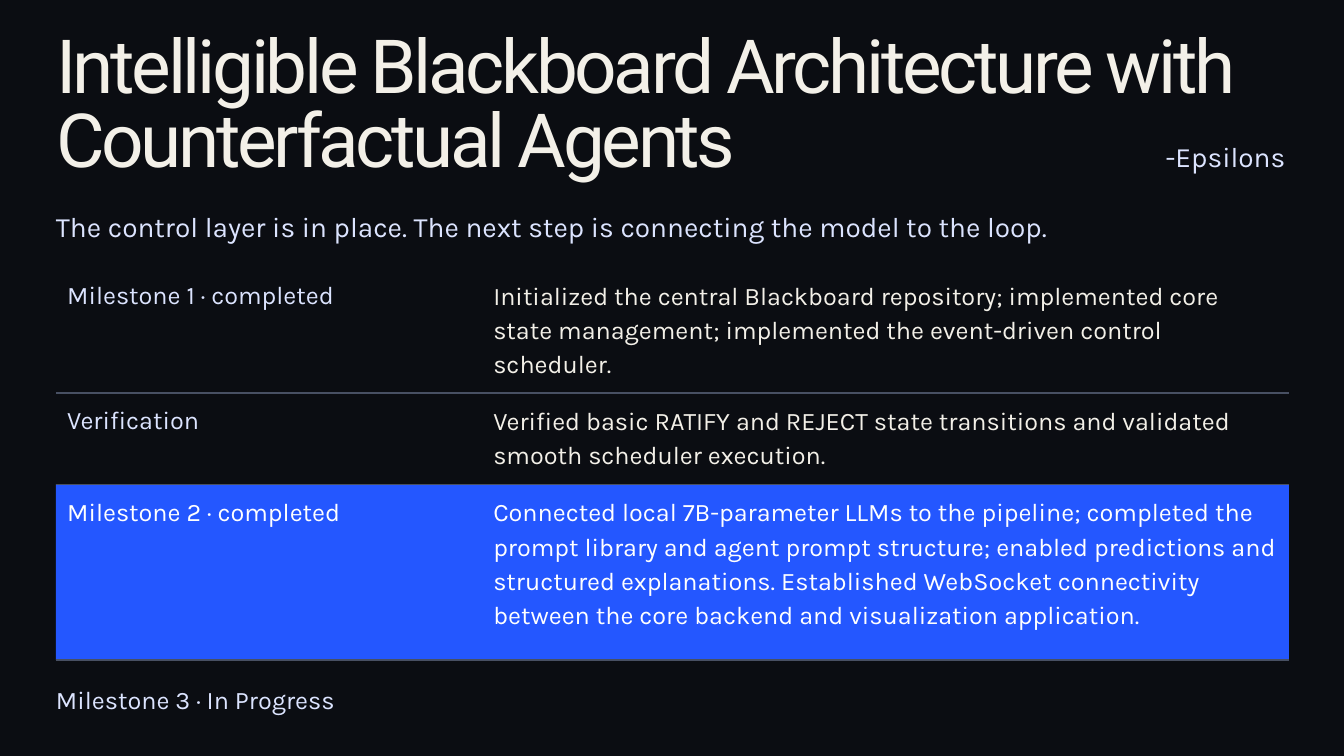
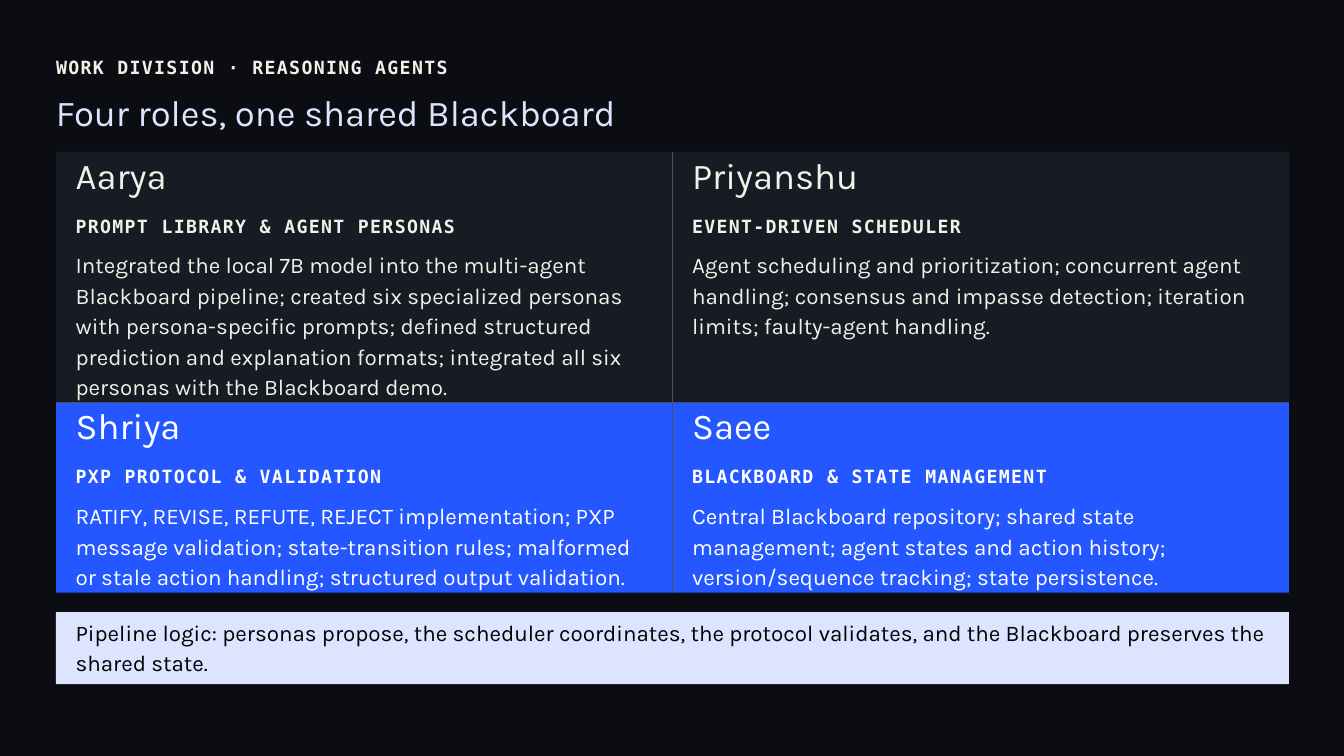
import collections

import pptx
import pptx.dml.color
import pptx.enum.shapes
import pptx.enum.text
import pptx.oxml.ns
import pptx.util
from lxml import etree

Pt = pptx.util.Pt

COLORS = {
    "night": "0B0D12",
    "panel": "171B24",
    "blue": "2457FF",
    "rule": "485063",
    "cream": "F3F0E8",
    "ice": "DCE4FF",
    "white": "FFFFFF",
    "black": "000000",
}

TextStyle = collections.namedtuple("TextStyle", "font size leading bold tracking")
STYLES = {
    "title": TextStyle("Roboto", 80, 79.7, False, -3.6),
    "heading": TextStyle("Karla", 39, 50.6, False, 0),
    "lead": TextStyle("Karla", 30, 38.9, False, 0),
    "label": TextStyle("Karla", 27, 35, False, 0),
    "detail": TextStyle("Karla", 27, 36.6, False, 0),
    "body": TextStyle("Karla", 24, 32.6, False, 0),
    "caps": TextStyle("DejaVu Sans Mono", 19.5, 25.3, True, 1.4),
}

LEFT = 60
WIDTH = 1321
RIGHT = LEFT + WIDTH

MILESTONES = [
    ("Milestone 1 · completed",
     "Initialized the central Blackboard repository; implemented core state management; "
     "implemented the event-driven control scheduler.", 3, 134, False),
    ("Verification",
     "Verified basic RATIFY and REJECT state transitions and validated smooth scheduler "
     "execution.", 2, 98, False),
    ("Milestone 2 · completed",
     "Connected local 7B-parameter LLMs to the pipeline; completed the prompt library and "
     "agent prompt structure; enabled predictions and structured explanations. Established "
     "WebSocket connectivity between the core backend and visualization application.",
     4, 188, True),
]

ROLE_ROWS = [
    (268.5, "panel", "cream", [
        ("Aarya", "PROMPT LIBRARY & AGENT PERSONAS",
         "Integrated the local 7B model into the multi-agent Blackboard pipeline; created six "
         "specialized personas with persona-specific prompts; defined structured prediction "
         "and explanation formats; integrated all six personas with the Blackboard demo.", 5),
        ("Priyanshu", "EVENT-DRIVEN SCHEDULER",
         "Agent scheduling and prioritization; concurrent agent handling; consensus and "
         "impasse detection; iteration limits; faulty-agent handling.", 3),
    ]),
    (203.75, "blue", "white", [
        ("Shriya", "PXP PROTOCOL & VALIDATION",
         "RATIFY, REVISE, REFUTE, REJECT implementation; PXP message validation; "
         "state-transition rules; malformed or stale action handling; structured output "
         "validation.", 3),
        ("Saee", "BLACKBOARD & STATE MANAGEMENT",
         "Central Blackboard repository; shared state management; agent states and action "
         "history; version/sequence tracking; state persistence.", 3),
    ]),
]


def color(name):
    return pptx.dml.color.RGBColor.from_string(COLORS[name])


class SlideWriter:
    def __init__(self, deck):
        self.deck = deck
        self.page = None

    def new_page(self):
        self.page = self.deck.slides.add_slide(self.deck.slide_layouts[6])
        fill = self.page.background.fill
        fill.solid()
        fill.fore_color.rgb = color("night")

    def text(self, words, style_name, color_name, left, top, width, lines=1):
        style = STYLES[style_name]
        height = lines * style.leading + 2
        box = self.page.shapes.add_textbox(Pt(left), Pt(top), Pt(width), Pt(height))
        frame = box.text_frame
        frame.word_wrap = True
        frame.auto_size = pptx.enum.text.MSO_AUTO_SIZE.SHAPE_TO_FIT_TEXT
        frame.margin_left = frame.margin_right = 0
        frame.margin_top = frame.margin_bottom = 0
        para = frame.paragraphs[0]
        para.line_spacing = Pt(style.leading)
        span = para.add_run()
        span.text = words
        span.font.name = style.font
        span.font.size = Pt(style.size)
        span.font.bold = style.bold
        span.font.color.rgb = color(color_name)
        if style.tracking:
            span._r.get_or_add_rPr().set("spc", str(round(style.tracking * 100)))

    def panel(self, color_name, left, top, width, height):
        shape = self.page.shapes.add_shape(
            pptx.enum.shapes.MSO_SHAPE.RECTANGLE, Pt(left), Pt(top), Pt(width), Pt(height))
        shape.shadow.inherit = False
        shape.fill.solid()
        shape.fill.fore_color.rgb = color(color_name)
        shape.line.fill.background()

    def rule(self, start_x, start_y, end_x, end_y, weight):
        line = self.page.shapes.add_connector(
            pptx.enum.shapes.MSO_CONNECTOR.STRAIGHT,
            Pt(start_x), Pt(start_y), Pt(end_x), Pt(end_y))
        line.line.color.rgb = color("rule")
        line.line.width = Pt(weight)
        etree.SubElement(line._element.spPr, pptx.oxml.ns.qn("a:effectLst"))


def build_progress(writer):
    writer.new_page()
    writer.text("Intelligible Blackboard Architecture with Counterfactual Agents",
                "title", "cream", LEFT, 36, 1331, 2)
    writer.text("The control layer is in place. The next step is connecting the model to the loop.",
                "lead", "ice", LEFT, 222, WIDTH)
    row_top = 287
    rule_tops = []
    for label, detail, lines, height, highlighted in MILESTONES:
        if highlighted:
            writer.panel("blue", LEFT, row_top, WIDTH, height)
        writer.text(label, "label", "white" if highlighted else "ice",
                    72, row_top + 9.75, 420.5)
        writer.text(detail, "detail", "white" if highlighted else "cream",
                    528.5, row_top + 9, 841, lines)
        row_top += height
        rule_tops.append(row_top)
    for rule_top in rule_tops:
        writer.rule(LEFT, rule_top, RIGHT, rule_top, 1.5)
    writer.text("-Epsilons", "lead", "ice", 1249, 147, 142)
    writer.text("Milestone 3 · In Progress", "label", "ice", LEFT, 731, 302)


def build_roles(writer):
    writer.new_page()
    writer.text("WORK DIVISION · REASONING AGENTS", "caps", "cream", LEFT, 58.5, 1381)
    writer.text("Four roles, one shared Blackboard", "heading", "ice", LEFT, 93, WIDTH)
    card_width = WIDTH / 2
    inset = 21
    text_width = card_width - 2 * inset
    grid_top = row_top = 162.75
    middle = LEFT + card_width
    for height, fill_name, text_name, cards in ROLE_ROWS:
        for column, (person, role, duties, lines) in enumerate(cards):
            card_left = LEFT + column * card_width
            text_left = card_left + inset
            writer.panel(fill_name, card_left, row_top, card_width, height)
            writer.text(person, "heading", text_name, text_left, row_top - 3, text_width)
            writer.text(role, "caps", text_name, text_left, row_top + 65.5, card_width - inset)
            writer.text(duties, "body", text_name, text_left, row_top + 103, text_width, lines)
        row_top += height
    writer.panel("ice", LEFT, 656, WIDTH, 77)
    writer.text("Pipeline logic: personas propose, the scheduler coordinates, the protocol "
                "validates, and the Blackboard preserves the shared state.",
                "body", "black", LEFT + inset, 659, WIDTH - 2 * inset, 2)
    row_split = grid_top + ROLE_ROWS[0][0]
    for top, bottom in ((grid_top, row_split), (row_split, row_top)):
        writer.rule(middle, top, middle, bottom, 1.25)
    for left, right in ((LEFT, middle), (middle, RIGHT)):
        writer.rule(left, row_split, right, row_split, 1.25)


def main():
    deck = pptx.Presentation()
    deck.slide_width = Pt(1440)
    deck.slide_height = Pt(810)
    writer = SlideWriter(deck)
    build_progress(writer)
    build_roles(writer)
    deck.save("out.pptx")


if __name__ == "__main__":
    main()
